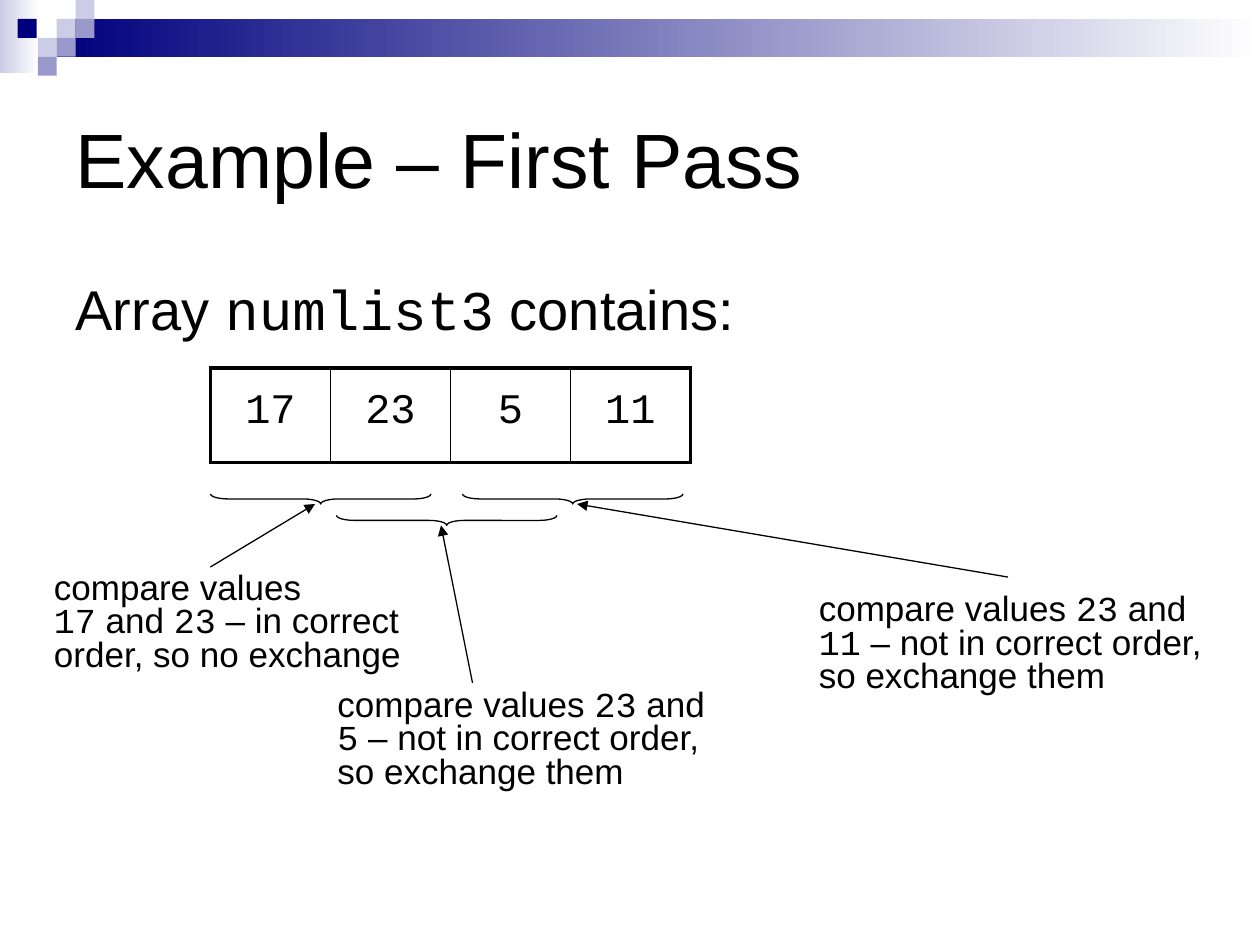
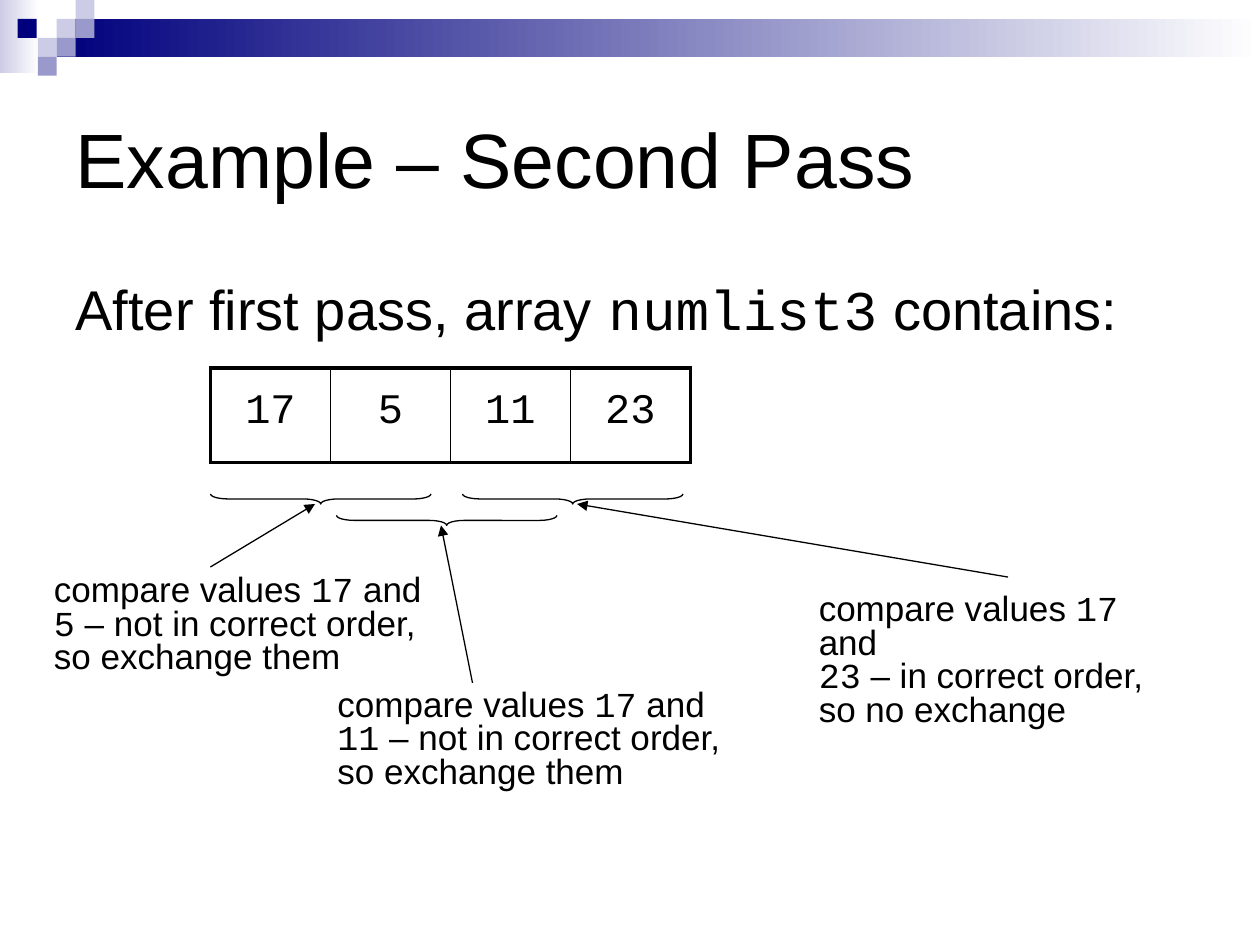
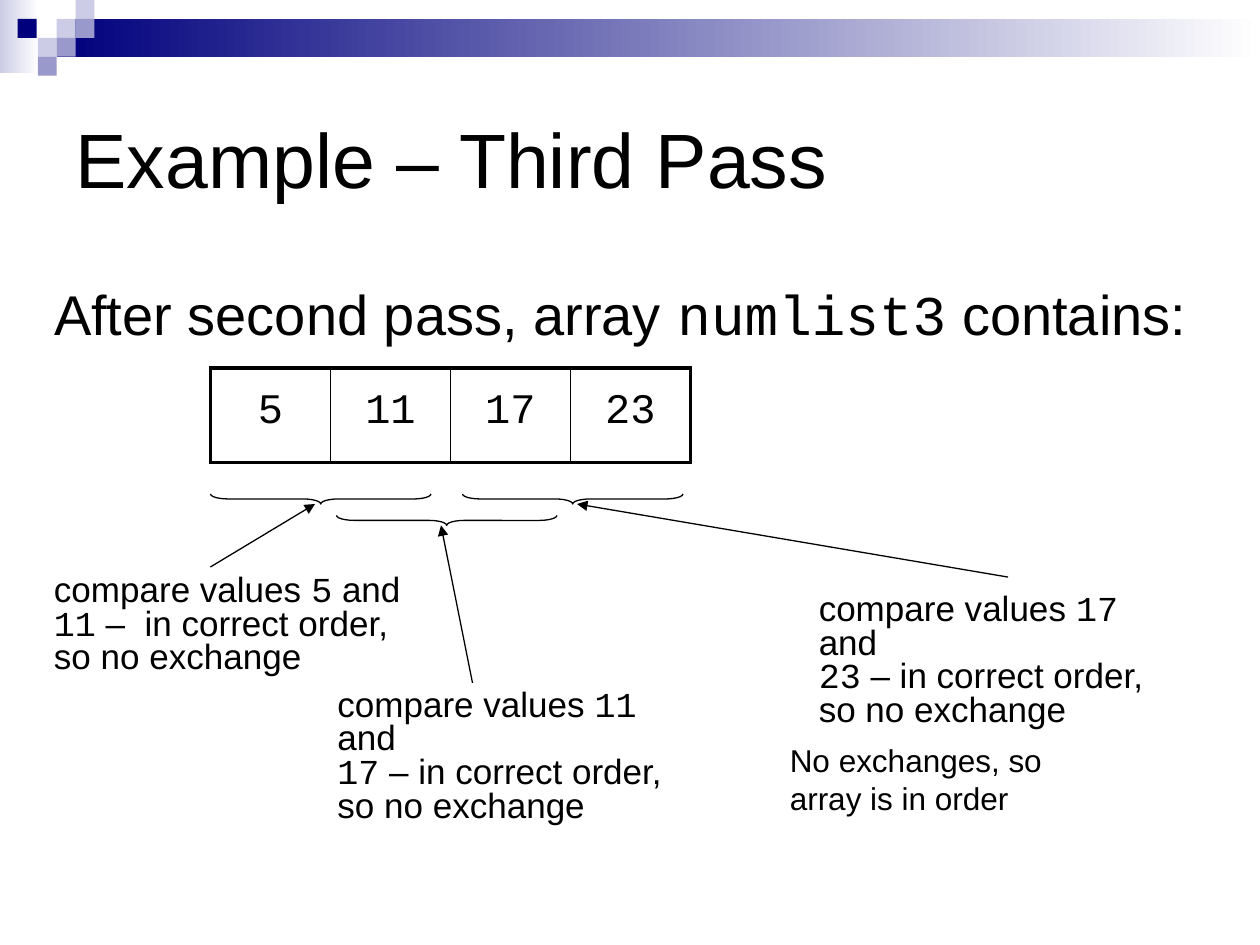
from lxml import etree
from pptx import Presentation
from pptx.dml.color import RGBColor
from pptx.enum.shapes import MSO_CONNECTOR as CONNECTOR, MSO_SHAPE as SHAPE
from pptx.enum.text import MSO_ANCHOR as ANCHOR, MSO_AUTO_SIZE as AUTO, PP_ALIGN as ALIGN
from pptx.oxml.ns import qn
from pptx.util import Inches, Pt

BLACK = RGBColor(0, 0, 0)
WHITE = RGBColor(255, 255, 255)
NAVY = RGBColor(0x00, 0x00, 0x7D)
LILAC = RGBColor(0xCC, 0xCC, 0xE6)
VIOLET = RGBColor(0x99, 0x99, 0xCC)
SANS, MONO = "Arial", "Courier New"

TILE = 0.15
TILES = [  # left, top, colour
    (0.45, 0.15, LILAC), (0.6, 0, LILAC), (0.6, 0.15, VIOLET), (0.3, 0.3, LILAC),
    (0.14, 0.15, NAVY), (0.45, 0.3, VIOLET), (0.3, 0.45, VIOLET),
]
TITLE_BOX = (0.5, 0.5, 9, 1.5)
INTRO_BOX = (0.5, 2.13, 9.08, 4.09)
ARRAY_BOX = (1.67, 2.92, 3.81, 0.75)
BRACE_BOXES = [(1.67, 3.92, 1.75, 0.08), (2.67, 4.09, 1.75, 0.08), (3.67, 3.92, 1.75, 0.08)]
ARROWS = [((1.67, 4.5), (2.5, 4)), ((3.75, 5.42), (3.5, 4.17)), ((8, 4.58), (4.58, 4))]

# Text between backticks is set in the code font.
PASSES = [
    {
        "title": "Example – First Pass",
        "intro": "Array `numlist3` contains:",
        "intro_box": INTRO_BOX,
        "values": [17, 23, 5, 11],
        "notes": [
            ((0.33, 4.5, 2.97, 0.9),
             ["compare values", "`17` and `23` – in correct", "order, so no exchange"]),
            ((2.58, 5.43, 3.16, 0.9),
             ["compare values `23` and", "`5` – not in correct order,", "so exchange them"]),
            ((6.4, 4.67, 3.25, 0.9),
             ["compare values `23` and", "`11` – not in correct order,", "so exchange them"]),
        ],
    },
    {
        "title": "Example – Second Pass",
        "intro": "After first pass, array `numlist3` contains:",
        "intro_box": INTRO_BOX,
        "values": [17, 5, 11, 23],
        "notes": [
            ((0.33, 4.52, 3.19, 0.9),
             ["compare values `17` and", "`5` – not in correct order,", "so exchange them"]),
            ((2.58, 5.43, 3.33, 0.9),
             ["compare values `17` and", "`11` – not in correct order,", "so exchange them"]),
            ((6.4, 4.67, 3.1, 0.9),
             ["compare values `17` and", "`23` – in correct order,", "so no exchange"]),
        ],
    },
    {
        "title": "Example – Third Pass",
        "intro": "After second pass, array `numlist3` contains:",
        "intro_box": (0.33, 2.17, 9.25, 4.5),
        "values": [5, 11, 17, 23],
        "notes": [
            ((0.33, 4.52, 3.02, 0.9),
             ["compare values `5` and", "`11` –  in correct order,", "so no exchange"]),
            ((2.58, 5.43, 3.1, 0.9),
             ["compare values `11` and", "`17` – in correct order,", "so no exchange"]),
            ((6.4, 4.67, 3.1, 0.9),
             ["compare values `17` and", "`23` – in correct order,", "so no exchange"]),
        ],
        "verdict": ((6.17, 5.83, 2.96, 0.9), ["No exchanges, so", "array is in order"]),
    },
]


def inches(values):
    return [Inches(value) for value in values]


def write(para, text, size):
    """Add text run by run, switching to the code font inside backticks."""
    for index, part in enumerate(text.split("`")):
        if part:
            span = para.add_run()
            span.text = part
            span.font.size = Pt(size)
            span.font.name = MONO if index % 2 else SANS
            span.font.color.rgb = BLACK


def add_block(page, box, color, fade_to=None):
    block = page.shapes.add_shape(SHAPE.RECTANGLE, *inches(box))
    block.shadow.inherit = False
    block.line.fill.background()
    if fade_to is None:
        block.fill.solid()
        block.fill.fore_color.rgb = color
    else:
        block.fill.gradient()
        block.fill.gradient_angle = 0
        for stop, position, shade in zip(block.fill.gradient_stops, (0, 1), (color, fade_to)):
            stop.position = position
            stop.color.rgb = shade
    return block


def decorate_master(master, page):
    """Draw the top band on a page, then move it behind the master's text."""
    blocks = [
        add_block(page, (0, 0, 0.31, 0.58), LILAC, WHITE),
        add_block(page, (0.45, 0.15, 9.55, 0.3), NAVY, WHITE),
    ]
    blocks += [add_block(page, (left, top, TILE, TILE), color) for left, top, color in TILES]
    for index, block in enumerate(blocks):
        master.shapes.element.insert(2 + index, block.element)


def fill_placeholder(holder, box, text, size, anchor):
    holder.left, holder.top, holder.width, holder.height = inches(box)
    frame = holder.text_frame
    frame.auto_size = AUTO.NONE
    frame.vertical_anchor = anchor
    para = frame.paragraphs[0]
    para.alignment = ALIGN.LEFT
    write(para, text, size)
    return para


def add_intro(holder, box, text):
    para = fill_placeholder(holder, box, text, 32, ANCHOR.TOP)
    # Hanging indent without a bullet
    props = para._p.get_or_add_pPr()
    props.set("marL", str(Inches(0.38)))
    props.set("indent", str(-Inches(0.38)))
    etree.SubElement(props, qn("a:buNone"))


def set_borders(cell, widths):
    """Set left, right, top and bottom borders, which come before the fill."""
    props = cell._tc.get_or_add_tcPr()
    for index, (side, width) in enumerate(zip("LRTB", widths)):
        line = etree.Element(qn(f"a:ln{side}"), w=str(Pt(width)))
        fill = etree.SubElement(line, qn("a:solidFill"))
        etree.SubElement(fill, qn("a:srgbClr"), val=str(BLACK))
        props.insert(index, line)


def add_array(page, box, values):
    left, top, width, height = inches(box)
    table = page.shapes.add_table(1, len(values), left, top, width, height).table
    table.first_row = table.horz_banding = False
    last = len(values) - 1
    for index, value in enumerate(values):
        table.columns[index].width = width // len(values)
        cell = table.cell(0, index)
        cell.fill.background()
        set_borders(cell, (2.25 if index == 0 else 1, 2.25 if index == last else 1, 2.25, 2.25))
        para = cell.text_frame.paragraphs[0]
        para.alignment = ALIGN.CENTER
        para.line_spacing = 1.3
        write(para, f"`{value}`", 24)


def add_brace(page, box):
    """Lay a right brace on its side so that it fills the box."""
    left, top, span, depth = box
    shift = (span - depth) / 2
    brace = page.shapes.add_shape(
        SHAPE.RIGHT_BRACE, *inches((left + shift, top - shift, depth, span)))
    brace.rotation = 90
    brace.adjustments[0], brace.adjustments[1] = 1.75, 0.5
    brace.shadow.inherit = False
    brace.fill.background()
    brace.line.color.rgb = BLACK
    brace.line.width = Pt(0.75)


def add_arrow(page, start, end):
    arrow = page.shapes.add_connector(CONNECTOR.STRAIGHT, *inches(start + end))
    arrow.line.color.rgb = BLACK
    arrow.line.width = Pt(0.75)
    etree.SubElement(arrow.line._get_or_add_ln(), qn("a:tailEnd"), type="triangle")
    etree.SubElement(arrow.element.spPr, qn("a:effectLst"))


def add_note(page, box, lines, size=20, spacing=0.8):
    frame = page.shapes.add_textbox(*inches(box)).text_frame
    frame.word_wrap = True
    for index, line in enumerate(lines):
        para = frame.add_paragraph() if index else frame.paragraphs[0]
        para.line_spacing = spacing
        write(para, line, size)


def build_pass(page, step):
    # Title and introduction
    fill_placeholder(page.shapes.title, TITLE_BOX, step["title"], 44, ANCHOR.MIDDLE)
    add_intro(page.placeholders[1], step["intro_box"], step["intro"])
    # Array with its compared pairs
    add_array(page, ARRAY_BOX, step["values"])
    for brace_box, (start, end), (note_box, lines) in zip(BRACE_BOXES, ARROWS, step["notes"]):
        add_note(page, note_box, lines)
        add_brace(page, brace_box)
        add_arrow(page, start, end)
    # Closing remark
    if "verdict" in step:
        box, lines = step["verdict"]
        add_note(page, box, lines, size=18, spacing=1.0)


deck = Presentation()
deck.slide_width, deck.slide_height = Inches(10), Inches(7.5)
pages = [deck.slides.add_slide(deck.slide_layouts[1]) for _ in PASSES]
decorate_master(deck.slide_master, pages[0])
for page, step in zip(pages, PASSES):
    build_pass(page, step)
deck.save("out.pptx")
